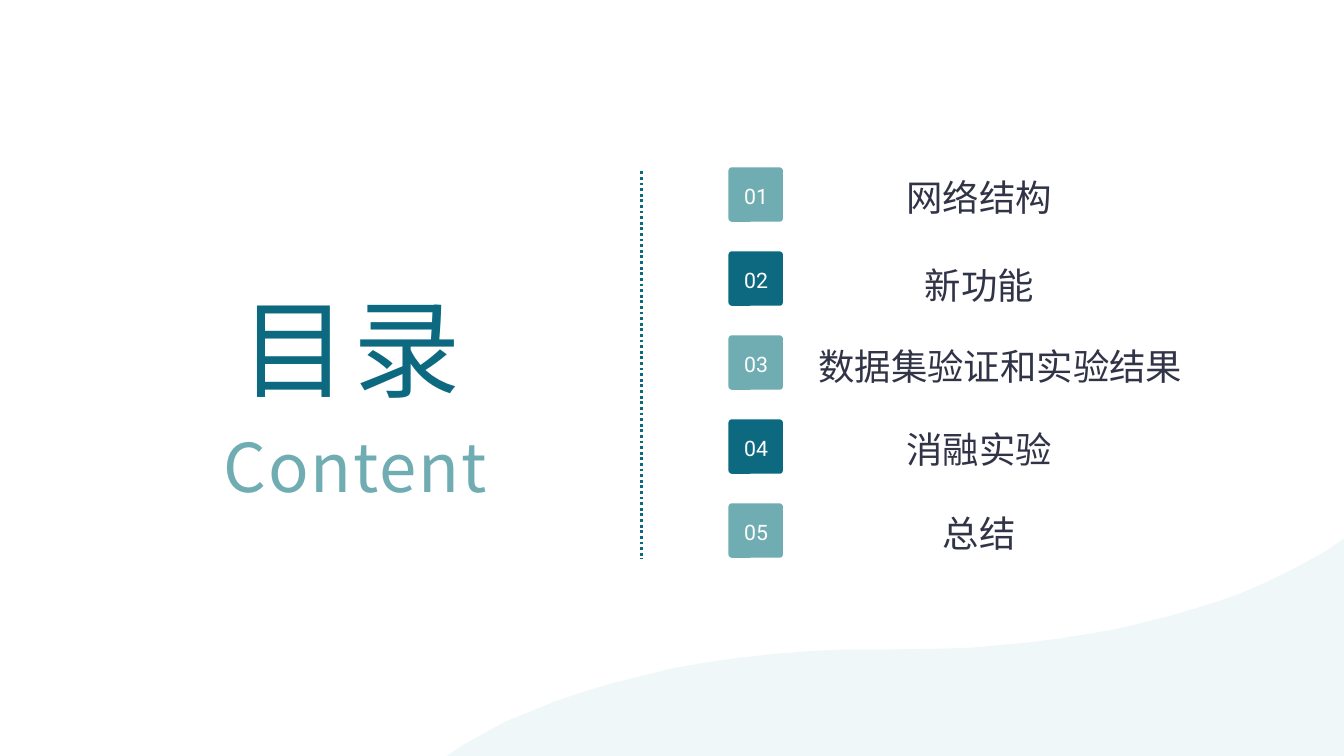
from dataclasses import dataclass

from lxml import etree
from pptx import Presentation
from pptx.dml.color import RGBColor
from pptx.enum.dml import MSO_LINE
from pptx.enum.shapes import MSO_CONNECTOR, MSO_SHAPE
from pptx.enum.text import MSO_ANCHOR, MSO_AUTO_SIZE, PP_ALIGN
from pptx.oxml.ns import qn
from pptx.util import Pt

LEFT, CENTER = PP_ALIGN.LEFT, PP_ALIGN.CENTER
TOP, NO_FIT = MSO_ANCHOR.TOP, MSO_AUTO_SIZE.NONE
DOTS, STRAIGHT = MSO_LINE.ROUND_DOT, MSO_CONNECTOR.STRAIGHT
ROUNDED = MSO_SHAPE.ROUNDED_RECTANGLE

TEAL = RGBColor(0x0C, 0x69, 0x80)
AQUA = RGBColor(0x70, 0xAD, 0xB2)
MIST = RGBColor(0xF0, 0xF7, 0xF8)
INK = RGBColor(0x31, 0x34, 0x47)
WHITE = RGBColor(0xFF, 0xFF, 0xFF)
HAN = "Noto Sans CJK SC"

# Agenda grid, in points
TILE_X, TILE_Y, TILE, PITCH = 780.5, 179.3, 58.3, 90
STEPS = 24


@dataclass
class Style:
    font: str
    size: float
    color: RGBColor
    lead: float
    align: int = LEFT
    space: float = 0


@dataclass
class Topic:
    text: str
    top: float
    left: float = 859.7
    width: float = 379.4


HEAD = Style("Arial", 115, TEAL, 107.5, space=6.1)
SUB = Style(HAN, 72, AQUA, 62.1, space=1.9)
NUMBER = Style("Roboto", 22.8, WHITE, 31.9, CENTER)
LABEL = Style("Arial", 39, INK, 54.6, CENTER)

TOPICS = [
    Topic("网络结构", 180),
    Topic("新功能", 273.6),
    Topic("数据集验证和实验结果", 360.7, 841.7, 460.1),
    Topic("消融实验", 450),
    Topic("总结", 540),
]


def write(shape, text: str, style: Style) -> None:
    """Fill a text shape with one styled line."""
    frame = shape.text_frame
    frame.text = text
    layout = dict(word_wrap=True, auto_size=NO_FIT, vertical_anchor=TOP,
                  margin_left=0, margin_top=0, margin_right=0, margin_bottom=0)
    for name, value in layout.items():
        setattr(frame, name, value)
    para = frame.paragraphs[0]
    para.alignment, para.line_spacing = style.align, Pt(style.lead)
    run = para.runs[0]
    for name, value in dict(name=style.font, size=Pt(style.size), bold=False).items():
        setattr(run.font, name, value)
    run.font.color.rgb = style.color
    props = run.font._element
    etree.SubElement(props, qn("a:ea")).set("typeface", HAN)
    if style.space:
        props.set("spc", str(round(style.space * 100)))


def add_text(slide, box: tuple, text: str, style: Style) -> None:
    write(slide.shapes.add_textbox(*map(Pt, box)), text, style)


def paint(shape, color: RGBColor) -> None:
    shape.shadow.inherit = False
    shape.fill.solid()
    shape.fill.fore_color.rgb = color
    shape.line.fill.background()


def curve(*knots: tuple) -> list:
    """Points along a cubic curve, without its start."""
    points = []
    for step in range(1, STEPS + 1):
        t = step / STEPS
        parts = ((1 - t) ** 3, 3 * t * (1 - t) ** 2, 3 * t * t * (1 - t), t ** 3)
        points.append(tuple(sum(w * k[axis] for w, k in zip(parts, knots))
                            for axis in (0, 1)))
    return points


def add_wave(slide) -> None:
    start, low, mid = (1527.8, 470.2), (378, 961.2), (939.6, 695.5)
    bend, end = (973.4, 695.5), (1523.5, 483.1)
    points = [(1527.8, 961.2), low]
    points += curve(low, (378, 814.3), (629.3, 695.5), mid)
    points += curve(bend, (1244.9, 695.5), (1471, 604.1), end)
    pen = slide.shapes.build_freeform(*start, scale=Pt(1))
    pen.add_line_segments(points, close=True)
    paint(pen.convert_to_shape(), MIST)


def add_rule(slide) -> None:
    rule = slide.shapes.add_connector(STRAIGHT, *map(Pt, (687.6, 183.6, 687.6, 598.3)))
    rule.line.color.rgb = TEAL
    rule.line.width = Pt(3)
    rule.line.dash_style = DOTS
    etree.SubElement(rule._element.spPr, qn("a:effectLst"))


def add_topic(slide, index: int, topic: Topic) -> None:
    top = TILE_Y + index * PITCH
    tile = slide.shapes.add_shape(ROUNDED, *map(Pt, (TILE_X, top, TILE, TILE)))
    tile.adjustments[0] = 0.06
    paint(tile, TEAL if index % 2 else AQUA)
    add_text(slide, (TILE_X + 5, top + 12.3, 49, 32.4), f"{index + 1:02}", NUMBER)
    add_text(slide, (topic.left, topic.top, topic.width, 51), topic.text, LABEL)


def main() -> None:
    deck = Presentation()
    deck.slide_width, deck.slide_height = Pt(1440), Pt(810)
    slide = deck.slides.add_slide(deck.slide_layouts[5])

    # Background wave
    add_wave(slide)

    # Heading
    title = slide.shapes.title
    place = dict(left=257.8, top=332.6, width=437.8, height=108.7)
    for name, value in place.items():
        setattr(title, name, Pt(value))
    write(title, "目录", HEAD)
    add_text(slide, (239.8, 479.5, 717.1, 62.6), "Content", SUB)

    # Divider and agenda
    add_rule(slide)
    for index, topic in enumerate(TOPICS):
        add_topic(slide, index, topic)

    deck.save("out.pptx")


if __name__ == "__main__":
    main()
